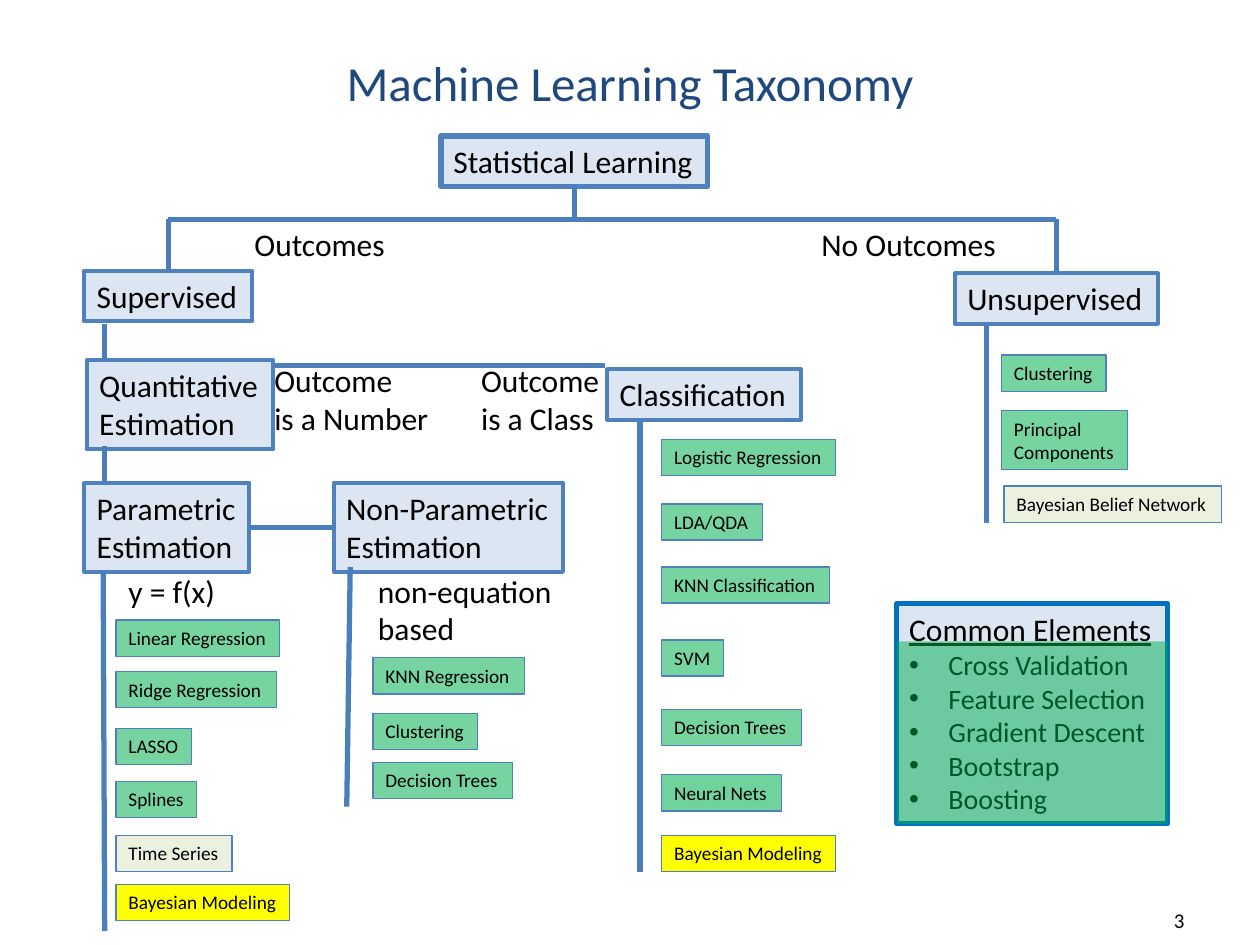
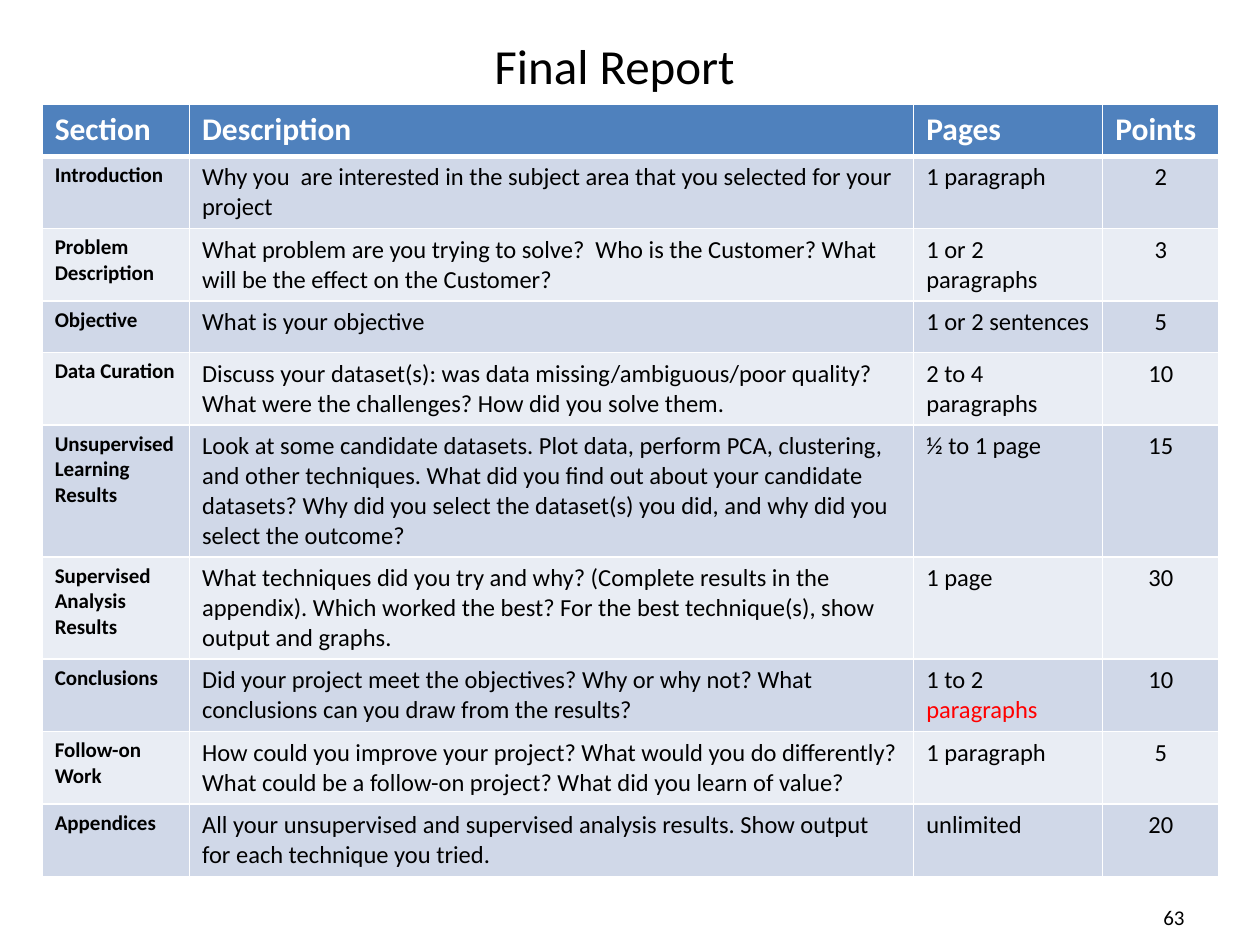
"""Build a machine learning taxonomy slide and a final report table slide."""
from dataclasses import dataclass

import lxml.etree
import pptx
import pptx.dml.color
import pptx.enum.shapes
import pptx.enum.text
import pptx.oxml.ns
import pptx.util

Cm = pptx.util.Cm
Pt = pptx.util.Pt
qn = pptx.oxml.ns.qn
ALIGN = pptx.enum.text.PP_ALIGN


@dataclass(frozen=True)
class Theme:
    font: str = "Calibri"
    title: int = 28
    node: int = 18
    bullet: int = 16
    body: int = 14
    small: int = 12
    method: int = 11
    black: str = "000000"
    white: str = "FFFFFF"
    navy: str = "1F497D"
    blue: str = "4F81BD"
    link: str = "4B7EBC"
    frame: str = "0070C0"
    pale: str = "DCE6F2"
    green: str = "00B050"
    cream: str = "EBF1DE"
    yellow: str = "FFFF00"
    red: str = "FF0000"
    odd: str = "D0D8E8"
    even: str = "E9EDF4"


T = Theme()
GREEN, CREAM, YELLOW = (T.green, 54), (T.cream, 100), (T.yellow, 100)

NODES = {
    "statistical": ("Statistical Learning", 8.89, 2.74, 5.38, 1.02),
    "supervised": ("Supervised", 1.7, 5.46, 3.38, 1.02),
    "unsupervised": ("Unsupervised", 19.25, 5.51, 4.09, 1.02),
    "quantitative": ("Quantitative\nEstimation", 1.75, 7.26, 3.76, 1.8),
    "parametric": ("Parametric\nEstimation", 1.7, 9.73, 3.33, 1.8),
    "non-parametric": ("Non-Parametric\nEstimation", 6.73, 9.73, 4.62, 1.8),
    "classification": ("Classification", 12.24, 7.44, 3.91, 1.02),
}
LABELS = [
    ("Outcomes", 4.88, 4.42, 3.18, 1.02),
    ("No Outcomes", 16.31, 4.42, 4.06, 1.02),
    ("y = f(x)", 2.34, 11.4, 2.29, 1.02),
    ("non-equation\nbased", 7.37, 11.4, 4.06, 1.8),
    ("Outcome\nis a Number", 5.28, 7.16, 3.66, 1.8),
    ("Outcome\nis a Class", 9.45, 7.16, 2.92, 1.8),
]
METHODS = {
    2.34: [
        ("Linear Regression", 12.5, 3.3, GREEN),
        ("Ridge Regression", 13.54, 3.23, GREEN),
        ("LASSO", 14.68, 1.52, GREEN),
        ("Splines", 15.75, 1.63, GREEN),
        ("Time Series", 16.84, 2.34, CREAM),
        ("Bayesian Modeling", 17.83, 3.5, YELLOW),
    ],
    7.52: [
        ("KNN Regression", 13.26, 3.05, GREEN),
        ("Clustering", 14.38, 2.11, GREEN),
        ("Decision Trees", 15.37, 2.82, GREEN),
    ],
    13.34: [
        ("Logistic Regression", 8.86, 3.5, GREEN),
        ("LDA/QDA", 10.16, 2.03, GREEN),
        ("KNN Classification", 11.43, 3.38, GREEN),
        ("SVM", 12.9, 1.24, GREEN),
        ("Decision Trees", 14.3, 2.82, GREEN),
        ("Neural Nets", 15.62, 2.41, (T.green, 56)),
        ("Bayesian Modeling", 16.84, 3.5, YELLOW),
    ],
    20.19: [
        ("Clustering", 7.16, 2.11, GREEN),
        ("Principal\nComponents", 8.28, 2.54, GREEN),
    ],
    20.24: [("Bayesian Belief Network", 9.8, 4.39, CREAM)],
}
BAR_Y = 4.42
SPINES = [
    (2.11, 6.53, 2.11, 7.26),
    (2.11, 8.99, 2.11, 9.7),
    (2.08, 11.53, 2.11, 18.77),
    (7.06, 11.43, 6.99, 16.26),
    (12.9, 8.46, 12.9, 17.58),
    (19.89, 6.53, 19.89, 10.54),
    (12.19, 7.37, 5.51, 7.37),
]
COMMON = ["Common Elements", "Cross Validation", "Feature Selection",
          "Gradient Descent", "Bootstrap", "Boosting"]
COMMON_BOX = (18.08, 12.17, 5.46, 4.44)
COMMON_TINT = (18.08, 12.93, 5.46, 3.68)

HEADER = ("Section", "Description", "Pages", "Points")
COLUMNS = (2.97, 14.6, 3.81, 2.34)
ROWS = [
    (2, "Introduction", "Why you  are interested in the subject area that you selected for your project",
     "1 paragraph", "2"),
    (2, "Problem Description", "What problem are you trying to solve?  Who is the Customer? "
     "What will be the effect on the Customer?", "1 or 2 paragraphs", "3"),
    (1, "Objective", "What is your objective", "1 or 2 sentences", "5"),
    (2, "Data Curation", "Discuss your dataset(s): was data missing/ambiguous/poor quality? "
     "What were the challenges? How did you solve them.", "2 to 4 paragraphs", "10"),
    (4, "Unsupervised Learning Results", "Look at some candidate datasets. Plot data, perform PCA, "
     "clustering, and other techniques. What did you find out about your candidate datasets? "
     "Why did you select the dataset(s) you did, and why did you select the outcome?",
     "½ to 1 page", "15"),
    (3, "Supervised Analysis Results", "What techniques did you try and why? (Complete results in "
     "the appendix). Which worked the best? For the best technique(s), show output and graphs.",
     "1 page", "30"),
    (2, "Conclusions", "Did your project meet the objectives? Why or why not? "
     "What conclusions can you draw from the results?", ("1 to 2 ", "paragraphs"), "10"),
    (2, "Follow-on Work", "How could you improve your project? What would you do differently? "
     "What could be a follow-on project? What did you learn of value?", "1 paragraph", "5"),
    (2, "Appendices", "All your unsupervised and supervised analysis results. "
     "Show output for each technique you tried.", "unlimited", "20"),
]


def rgb(color):
    return pptx.dml.color.RGBColor.from_string(color)


def style(tf, size, color=T.black, bold=False, align=ALIGN.LEFT):
    for p in tf.paragraphs:
        p.alignment = align
        for r in p.runs:
            r.font.name, r.font.size, r.font.bold = T.font, Pt(size), bold
            r.font.color.rgb = rgb(color)


def fit(tf):
    tf.word_wrap = False
    tf.auto_size = pptx.enum.text.MSO_AUTO_SIZE.SHAPE_TO_FIT_TEXT
    tf.vertical_anchor = pptx.enum.text.MSO_ANCHOR.TOP


def add_text(s, text, box, size, color=T.black, align=None):
    tf = s.shapes.add_textbox(*map(Cm, box)).text_frame
    tf.text = text
    if align is None:
        fit(tf)
    else:
        tf.word_wrap = True
        tf.vertical_anchor = pptx.enum.text.MSO_ANCHOR.MIDDLE
    style(tf, size, color, align=align or ALIGN.LEFT)


def add_frame(s, title, title_at, title_color, number, number_top):
    add_text(s, title, (*title_at, 22.86, 1.78), T.title, title_color, ALIGN.CENTER)
    add_text(s, number, (18.21, number_top, 5.92, 1.02), T.small, align=ALIGN.RIGHT)


def add_box(s, text, box, fill, size=T.node, line=T.blue, weight=2.25, alpha=100):
    sp = s.shapes.add_shape(pptx.enum.shapes.MSO_SHAPE.RECTANGLE, *map(Cm, box))
    sp.shadow.inherit = False
    sp.fill.solid()
    sp.fill.fore_color.rgb = rgb(fill)
    if alpha < 100:
        clr = sp._element.spPr.find(qn("a:solidFill"))[0]
        lxml.etree.SubElement(clr, qn("a:alpha")).set("val", str(alpha * 1000))
    if line:
        sp.line.color.rgb = rgb(line)
        sp.line.width = Pt(weight)
    else:
        sp.line.fill.background()
    if text:
        sp.text_frame.text = text
        fit(sp.text_frame)
        style(sp.text_frame, size)
    return sp


def add_link(s, x1, y1, x2, y2, begin=None, end=None):
    cn = s.shapes.add_connector(pptx.enum.shapes.MSO_CONNECTOR.STRAIGHT,
                                *map(Cm, (x1, y1, x2, y2)))
    if begin:
        cn.begin_connect(*begin)
    if end:
        cn.end_connect(*end)
    cn.line.color.rgb = rgb(T.link)
    cn.line.width = Pt(3)
    lxml.etree.SubElement(cn._element.spPr, qn("a:effectLst"))


def add_common_elements(s):
    sp = add_box(s, "\n".join(COMMON), COMMON_BOX, T.pale, line=T.frame, weight=3)
    head, *items = sp.text_frame.paragraphs
    head.runs[0].font.underline = True
    for p in items:
        p.runs[0].font.size = Pt(T.bullet)
        pPr = p._p.get_or_add_pPr()
        pPr.set("marL", str(Cm(0.79)))
        pPr.set("indent", str(-Cm(0.79)))
        lxml.etree.SubElement(pPr, qn("a:buFont")).set("typeface", "Arial")
        lxml.etree.SubElement(pPr, qn("a:buChar")).set("char", "•")
    add_box(s, "", COMMON_TINT, T.green, line=None, alpha=50)


def build_taxonomy(s):
    add_frame(s, "Machine Learning Taxonomy", (1.27, 0.76), T.navy, "3", 18.03)
    nodes, mid = {}, {}
    for name, (text, x, y, w, h) in NODES.items():
        weight = 3 if name == "statistical" else 2.25
        nodes[name] = add_box(s, text, (x, y, w, h), T.pale, weight=weight)
        mid[name] = x + w / 2
    for text, *box in LABELS:
        add_text(s, text, box, T.node)
    add_link(s, mid["unsupervised"], BAR_Y, mid["supervised"], BAR_Y)
    for name, side in (("statistical", 2), ("supervised", 0), ("unsupervised", 0)):
        add_link(s, mid[name], BAR_Y, mid[name], BAR_Y, end=(nodes[name], side))
    add_link(s, 0, 0, 0, 0, (nodes["non-parametric"], 1), (nodes["parametric"], 3))
    for spine in SPINES:
        add_link(s, *spine)
    for x, methods in METHODS.items():
        for text, y, w, (fill, alpha) in methods:
            h = 1.19 if "\n" in text else 0.73
            add_box(s, text, (x, y, w, h), fill, T.method, weight=0.75, alpha=alpha)
    add_common_elements(s)


def add_borders(cell, top, bottom):
    tcPr = cell._tc.get_or_add_tcPr()
    for i, (side, width) in enumerate((("L", 1), ("R", 1), ("T", top), ("B", bottom))):
        ln = lxml.etree.Element(qn("a:ln" + side), w=str(Pt(width)))
        fill = lxml.etree.SubElement(ln, qn("a:solidFill"))
        lxml.etree.SubElement(fill, qn("a:srgbClr")).set("val", T.white)
        tcPr.insert(i, ln)


def build_report(s):
    add_frame(s, "Final Report ", (1.07, 0.41), T.black, "63", 17.98)
    heights = [1.04] + [max(1.04, 0.26 + 0.6 * lines) for lines, *_ in ROWS]
    box = (0.85, 2.11, sum(COLUMNS), sum(heights))
    table = s.shapes.add_table(len(heights), len(COLUMNS), *map(Cm, box)).table
    for column, width in zip(table.columns, COLUMNS):
        column.width = Cm(width)
    for i, values in enumerate([HEADER] + [row[1:] for row in ROWS]):
        table.rows[i].height = Cm(heights[i])
        for j, value in enumerate(values):
            cell = table.cell(i, j)
            text, *marked = (value,) if isinstance(value, str) else value
            tf = cell.text_frame
            tf.text = text
            for extra in marked:
                tf.paragraphs[0].add_run().text = extra
            if i == 0:
                fill = T.blue
                style(tf, T.node, T.white, True)
            else:
                fill = T.odd if i % 2 else T.even
                style(tf, T.body if j else T.small, bold=j == 0,
                      align=ALIGN.CENTER if j == 3 else ALIGN.LEFT)
            for r in tf.paragraphs[0].runs[1:]:
                r.font.color.rgb = rgb(T.red)
            cell.fill.solid()
            cell.fill.fore_color.rgb = rgb(fill)
            add_borders(cell, 3 if i == 1 else 1, 3 if i == 0 else 1)


def main():
    prs = pptx.Presentation()
    prs.slide_width, prs.slide_height = Cm(25.4), Cm(19.05)
    for build in (build_taxonomy, build_report):
        build(prs.slides.add_slide(prs.slide_layouts[6]))
    prs.save("out.pptx")


if __name__ == "__main__":
    main()
